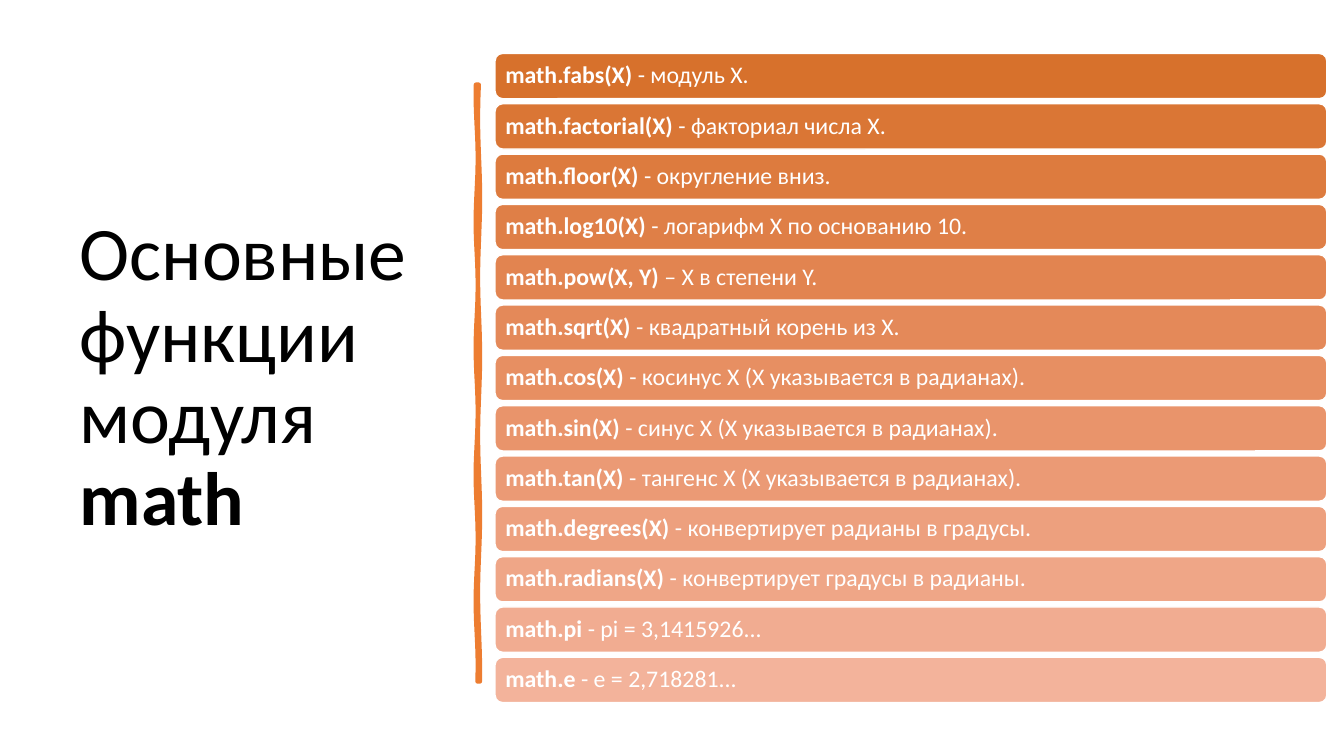
from math import sin

from pptx import Presentation
from pptx.dml.color import RGBColor
from pptx.enum.shapes import MSO_SHAPE
from pptx.enum.text import MSO_ANCHOR, MSO_AUTO_SIZE, PP_ALIGN
from pptx.util import Inches, Pt

FONT = "Calibri"
FUNCTIONS = [
    ("math.fabs(X)", "- модуль X.", "D7712C"),
    ("math.factorial(X)", "- факториал числа X.", "DA7635"),
    ("math.floor(X)", "- округление вниз.", "DD7B3E"),
    ("math.log10(X)", "- логарифм X по основанию 10.", "DF7F47"),
    ("math.pow(X, Y)", "– X в степени Y.", "E28450"),
    ("math.sqrt(X)", "- квадратный корень из X.", "E48959"),
    ("math.cos(X)", "- косинус X (X указывается в радианах).", "E78F62"),
    ("math.sin(X)", "- синус X (X указывается в радианах).", "E9946B"),
    ("math.tan(X)", "- тангенс X (X указывается в радианах).", "EB9A75"),
    ("math.degrees(X)", "- конвертирует радианы в градусы.", "EDA07E"),
    ("math.radians(X)", "- конвертирует градусы в радианы.", "EFA687"),
    ("math.pi", "- pi = 3,1415926...", "F1AC91"),
    ("math.e", "- e = 2,718281...", "F3B39B"),
]


def rgb(value):
    """Turn a hex string into a colour."""
    return RGBColor.from_string(value)


def add_run(p, text, size, color, bold=False):
    """Append one formatted run to a paragraph."""
    r = p.add_run()
    r.text = text
    r.font.name = FONT
    r.font.size = Pt(size)
    r.font.bold = bold
    r.font.color.rgb = rgb(color)


def paint(sp, fill, line, width):
    """Give a shape a flat fill and outline without shadow."""
    sp.shadow.inherit = False
    sp.fill.solid()
    sp.fill.fore_color.rgb = rgb(fill)
    sp.line.color.rgb = rgb(line)
    sp.line.width = Pt(width)


def set_title(s, x, y, w, h):
    """Place the slide title in its box."""
    sp = s.shapes.title
    sp.left, sp.top, sp.width, sp.height = map(Inches, (x, y, w, h))
    tf = sp.text_frame
    tf.word_wrap = True
    tf.auto_size = MSO_AUTO_SIZE.NONE
    tf.vertical_anchor = MSO_ANCHOR.MIDDLE
    p = tf.paragraphs[0]
    p.alignment = PP_ALIGN.LEFT
    p.line_spacing = 0.9
    add_run(p, "Основные функции модуля ", 54, "000000")
    add_run(p, "math", 54, "000000", True)


def add_divider(s, x, y, w, h, steps=60):
    """Draw a slightly wavy vertical stroke."""
    ys = [y + h * i / steps for i in range(steps + 1)]
    right = [(x + w + 0.01 * sin(4 * v), v) for v in ys]
    left = [(x + 0.01 * sin(5 * v), v) for v in reversed(ys)]
    points = [(Inches(a), Inches(b)) for a, b in right + left]
    builder = s.shapes.build_freeform(*points[0])
    builder.add_line_segments(points[1:], close=True)
    paint(builder.convert_to_shape(), "ED7D31", "ED7D31", 3.25)


def add_bar(s, x, y, w, h, name, meaning, fill):
    """Add one rounded bar with a function and its meaning."""
    sp = s.shapes.add_shape(MSO_SHAPE.ROUNDED_RECTANGLE, *map(Inches, (x, y, w, h)))
    paint(sp, fill, "FFFFFF", 1)
    tf = sp.text_frame
    tf.word_wrap = True
    tf.margin_left = tf.margin_right = Inches(0.08)
    tf.margin_top = tf.margin_bottom = Inches(0.05)
    tf.vertical_anchor = MSO_ANCHOR.MIDDLE
    p = tf.paragraphs[0]
    p.alignment = PP_ALIGN.LEFT
    p.line_spacing = 0.9
    add_run(p, name + " ", 17, "FFFFFF", True)
    add_run(p, meaning, 17, "FFFFFF")


def add_functions(s, x, y, w, h, gap=0.05):
    """Stack the function bars evenly in a box."""
    pitch = (h + gap) / len(FUNCTIONS)
    for i, row in enumerate(FUNCTIONS):
        add_bar(s, x, y + i * pitch, w, pitch - gap, *row)


def main():
    """Build the slide and save it."""
    prs = Presentation()
    prs.slide_width, prs.slide_height = Inches(13.33), Inches(7.5)
    s = prs.slides.add_slide(prs.slide_layouts[5])
    set_title(s, 0.69, 0.7, 3.74, 6.11)
    add_divider(s, 4.73, 0.84, 0.02, 5.92)
    add_functions(s, 4.91, 0.53, 8.25, 6.44)
    prs.save("out.pptx")


if __name__ == "__main__":
    main()
